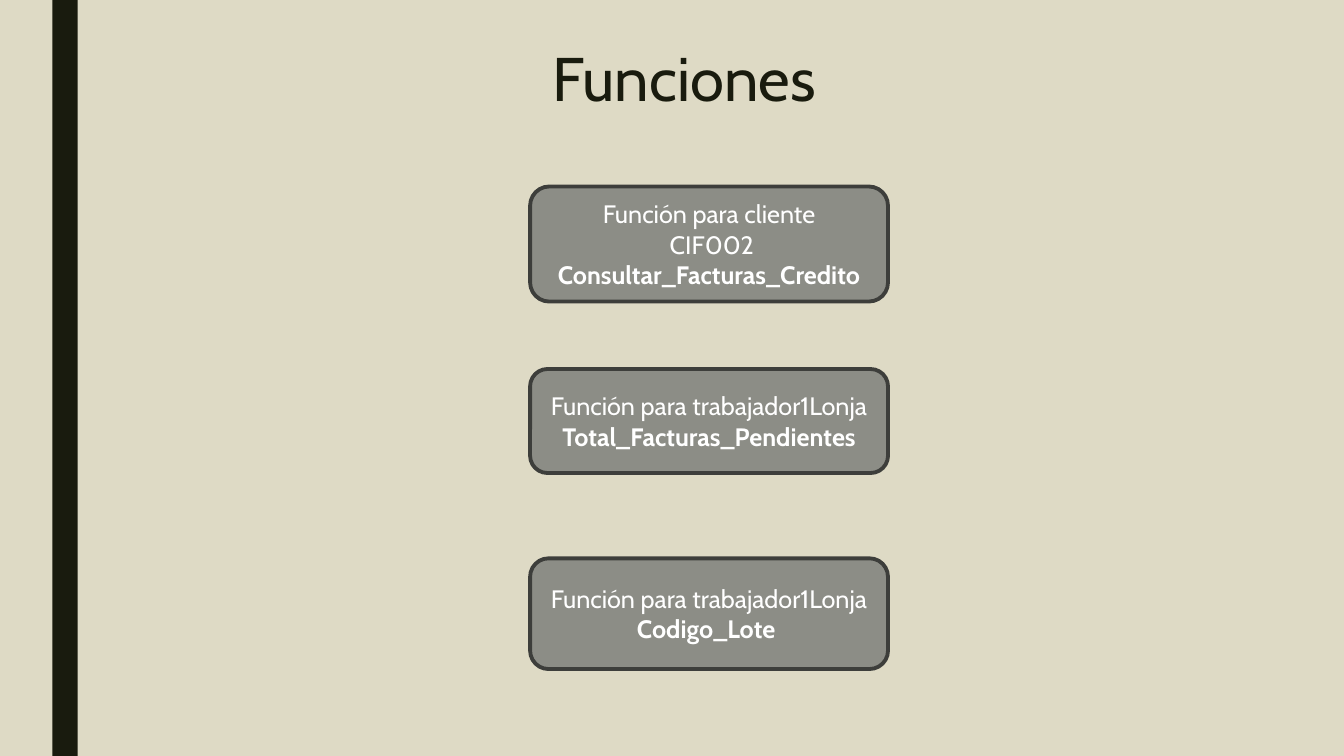
from pptx import Presentation
from pptx import util as u
from pptx.dml.color import RGBColor
from pptx.enum import shapes, text

INK = RGBColor(0x19, 0x1B, 0x0E)
SAND = RGBColor(0xDE, 0xDA, 0xC5)
GRAY = RGBColor(0x8C, 0x8D, 0x86)
EDGE = RGBColor(0x3D, 0x3E, 0x3B)
WHITE = RGBColor(0xFF, 0xFF, 0xFF)
FONT = "Cabin"

CARDS = [
    (4.7, 2.9, ["Función para cliente", " CIF002"], "Consultar_Facturas_Credito"),
    (9.3, 2.62, ["Función para trabajador1Lonja"], "Total_Facturas_Pendientes"),
    (14.07, 2.79, ["Función para trabajador1Lonja"], "Codigo_Lote "),
]


def add_run(para, words, size, color, bold=False):
    para.alignment = text.PP_ALIGN.CENTER
    run = para.add_run()
    run.text = words
    run.font.name = FONT
    run.font.size = u.Pt(size)
    run.font.bold = bold
    run.font.color.rgb = color


def add_bar(slide, left, top, width, height):
    bar = slide.shapes.add_shape(
        shapes.MSO_SHAPE.RECTANGLE, u.Cm(left), u.Cm(top), u.Cm(width), u.Cm(height))
    bar.shadow.inherit = False
    bar.fill.solid()
    bar.fill.fore_color.rgb = INK
    bar.line.fill.background()


def add_title(slide, left, top, width, height):
    box = slide.shapes.add_textbox(u.Cm(left), u.Cm(top), u.Cm(width), u.Cm(height))
    frame = box.text_frame
    frame.word_wrap = True
    frame.vertical_anchor = text.MSO_ANCHOR.TOP
    para = frame.paragraphs[0]
    para.line_spacing = 0.89
    add_run(para, "Funciones", 44, INK)


def add_card(slide, left, top, width, height, intro, name):
    card = slide.shapes.add_shape(
        shapes.MSO_SHAPE.ROUNDED_RECTANGLE,
        u.Cm(left), u.Cm(top), u.Cm(width), u.Cm(height))
    card.shadow.inherit = False
    card.fill.solid()
    card.fill.fore_color.rgb = GRAY
    card.line.color.rgb = EDGE
    card.line.width = u.Pt(2.75)
    frame = card.text_frame
    frame.word_wrap = True
    frame.vertical_anchor = text.MSO_ANCHOR.MIDDLE
    for row, words in enumerate(intro):
        para = frame.add_paragraph() if row else frame.paragraphs[0]
        add_run(para, words, 18, WHITE)
    add_run(frame.add_paragraph(), name, 18, WHITE, True)


def main():
    deck = Presentation()
    deck.slide_width = u.Cm(33.87)
    deck.slide_height = u.Cm(19.05)
    slide = deck.slides.add_slide(deck.slide_layouts[6])
    slide.background.fill.solid()
    slide.background.fill.fore_color.rgb = SAND
    add_bar(slide, 1.32, 0, 0.64, 19.05)
    add_title(slide, 3.91, 1.12, 26.67, 2.31)
    for top, height, intro, name in CARDS:
        add_card(slide, 13.36, top, 9.02, height, intro, name)
    deck.save("out.pptx")


if __name__ == "__main__":
    main()
